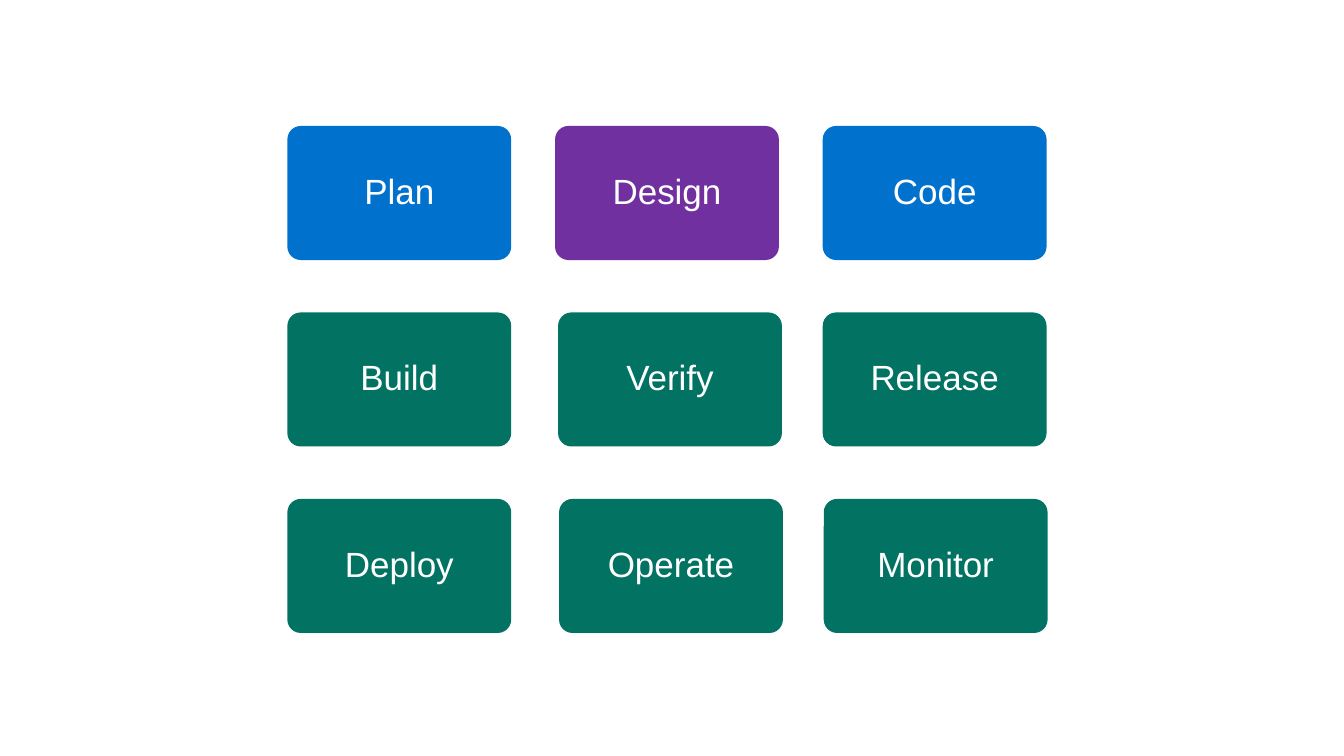
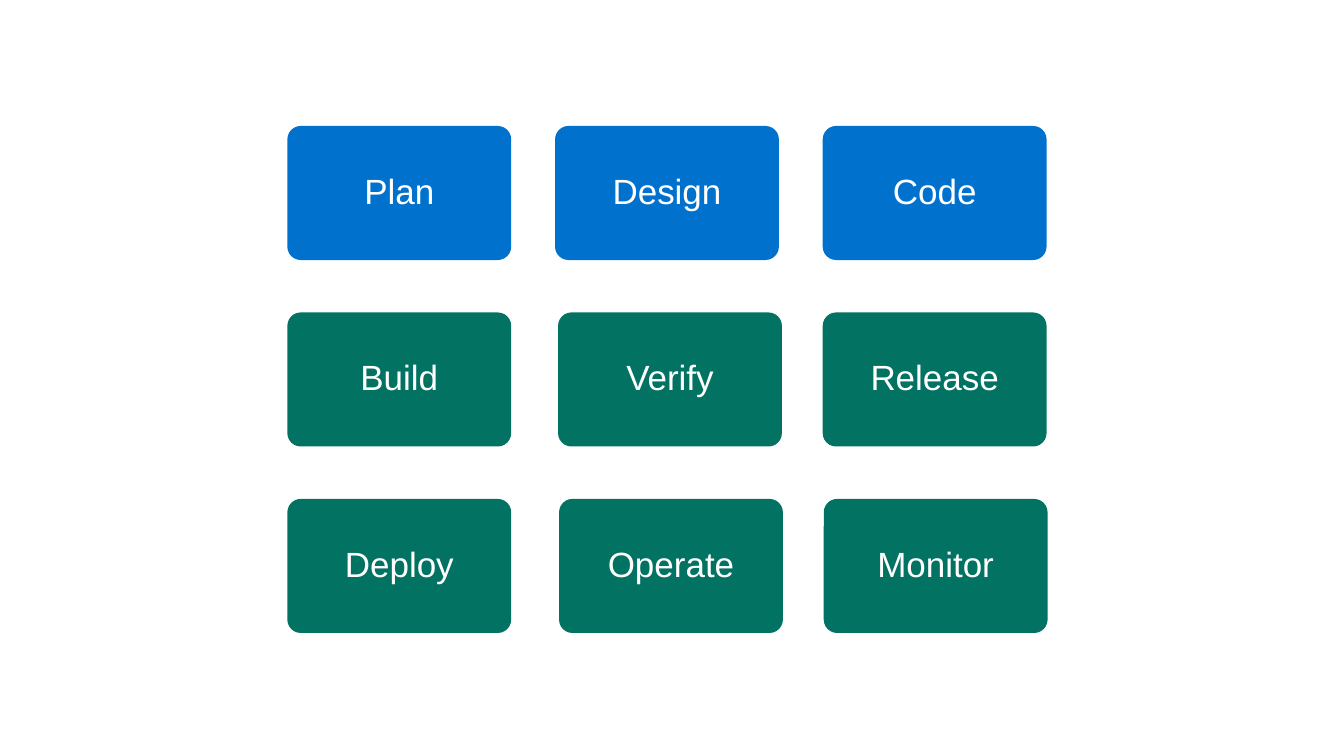
from pptx import Presentation
from pptx.dml.color import RGBColor
from pptx.enum.shapes import MSO_SHAPE
from pptx.enum.text import MSO_ANCHOR, PP_ALIGN
from pptx.util import Inches, Pt

COLORS = {"blue": "0072CE", "purple": "7030A0", "green": "027262", "white": "FFFFFF"}
FONT = "Arial"

# Lifecycle stages, row by row, and the colour of each row
STAGES = [
    ["Plan", "Design", "Code"],
    ["Build", "Verify", "Release"],
    ["Deploy", "Operate", "Monitor"],
]
ROW_COLORS = ["blue", "green", "green"]

# Grid measures in inches
GRID_BOX = (2.85, 1.25, 7.53, 5.03)
CARD_W, CARD_H = 2.22, 1.33
NUDGE = {"Verify": 0.03, "Operate": 0.04, "Monitor": 0.01}


def rgb(name):
    return RGBColor.from_string(COLORS[name])


def add_card(s, x, y, text, color):
    """Rounded card with a centred label."""
    sp = s.shapes.add_shape(MSO_SHAPE.ROUNDED_RECTANGLE, Inches(x), Inches(y),
                            Inches(CARD_W), Inches(CARD_H))
    sp.adjustments[0] = 0.1
    sp.shadow.inherit = False
    sp.fill.solid()
    sp.fill.fore_color.rgb = rgb(color)
    sp.line.fill.background()

    # Label
    tf = sp.text_frame
    tf.word_wrap = True
    tf.vertical_anchor = MSO_ANCHOR.MIDDLE
    tf.margin_left = tf.margin_right = tf.margin_top = tf.margin_bottom = Inches(0.1)
    p = tf.paragraphs[0]
    p.alignment = PP_ALIGN.CENTER
    p.line_spacing = 0.9
    r = p.add_run()
    r.text = text
    r.font.name = FONT
    r.font.size = Pt(25)
    r.font.color.rgb = rgb("white")


def add_stage_grid(s, box, highlights):
    """Spread the stage cards evenly over the box."""
    left, top, width, height = box
    step_x = (width - CARD_W) / (len(STAGES[0]) - 1)
    step_y = (height - CARD_H) / (len(STAGES) - 1)
    for row, stages in enumerate(STAGES):
        for col, stage in enumerate(stages):
            x = left + col * step_x + NUDGE.get(stage, 0)
            add_card(s, x, top + row * step_y, stage,
                     highlights.get(stage, ROW_COLORS[row]))


def add_stage_slide(prs, highlights):
    s = prs.slides.add_slide(prs.slide_layouts[6])
    add_stage_grid(s, GRID_BOX, highlights)


prs = Presentation()
prs.slide_width, prs.slide_height = Inches(13.33), Inches(7.5)

# Design highlighted, then all stages in their row colour
for highlights in ({"Design": "purple"}, {}):
    add_stage_slide(prs, highlights)

prs.save("out.pptx")
